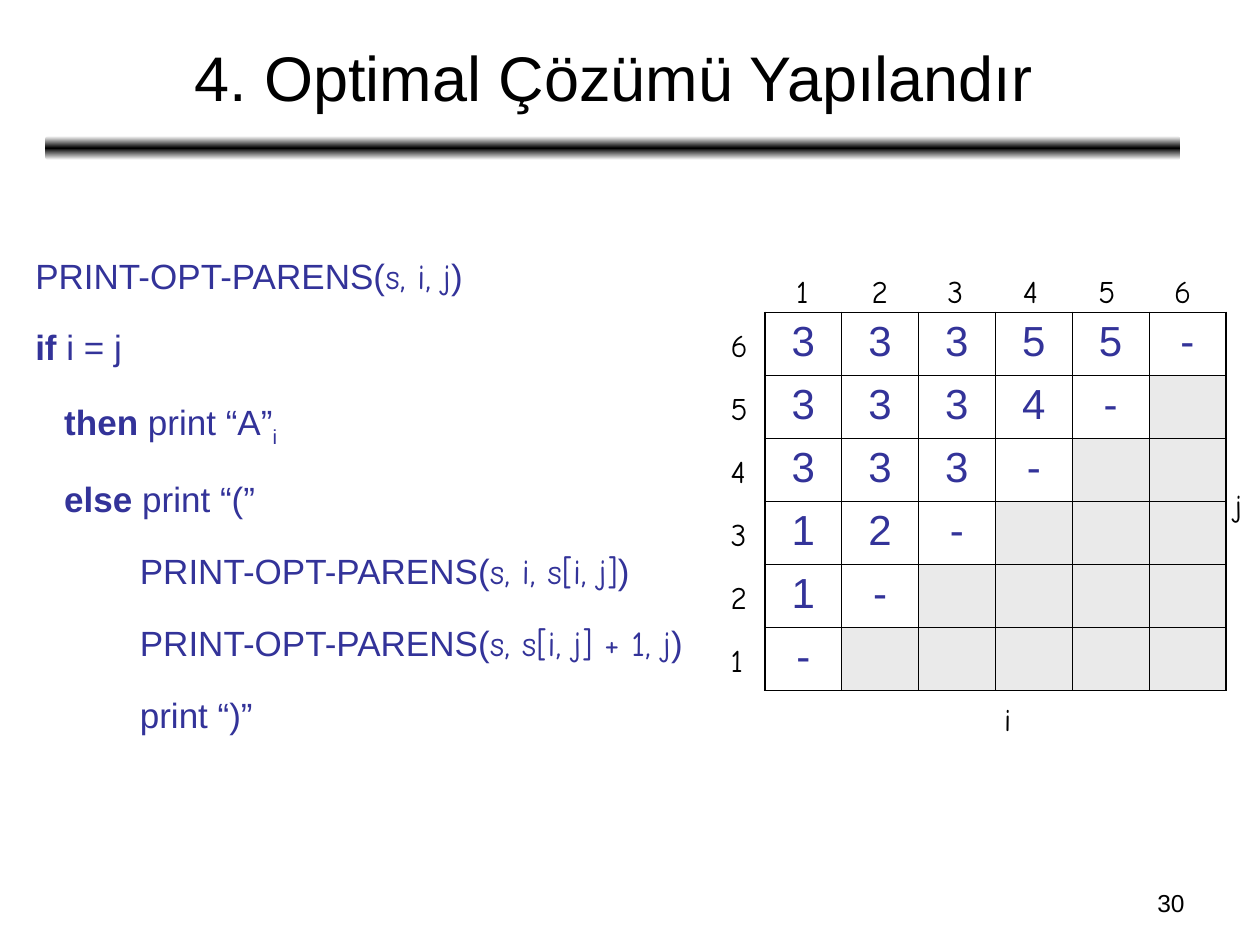
from copy import deepcopy
from dataclasses import dataclass

from lxml import etree
from pptx import Presentation
from pptx import util as u
from pptx.dml.color import RGBColor
from pptx.enum import shapes, text
from pptx.oxml import ns


@dataclass(frozen=True)
class Theme:
    black: str = "000000"
    white: str = "FFFFFF"
    ink: str = "333399"
    unused: str = "EAEAEA"
    sans: str = "Arial"
    hand: str = "Comic Neue"
    title_size: float = 36
    cell_size: float = 24
    code_size: float = 20
    label_size: float = 18
    number_size: float = 14
    outer_line: float = 1.08
    inner_line: float = 0.45


class SlideBuilder:
    """Draws styled elements on the current slide."""

    def __init__(self, slide, theme):
        self.slide = slide
        self.theme = theme

    def place(self, shape, left, top, width, height):
        shape.left, shape.top = u.Inches(left), u.Inches(top)
        shape.width, shape.height = u.Inches(width), u.Inches(height)

    def run(self, paragraph, words, size, color, font=None, bold=False, subscript=False):
        run = paragraph.add_run()
        run.text = words
        run.font.name = font or self.theme.sans
        run.font.size = u.Pt(size)
        run.font.bold = bold
        run.font.color.rgb = RGBColor.from_string(color)
        if subscript:
            run.font._element.set("baseline", "-25000")

    def title(self, words):
        shape = self.slide.shapes.title
        self.place(shape, 0.37, 0.11, 9, 0.99)
        frame = shape.text_frame
        frame.auto_size = text.MSO_AUTO_SIZE.NONE
        frame.vertical_anchor = text.MSO_ANCHOR.MIDDLE
        paragraph = frame.paragraphs[0]
        paragraph.alignment = text.PP_ALIGN.CENTER
        self.run(paragraph, words, self.theme.title_size, self.theme.black)

    def rule(self, left, top, width, height):
        shape = self.slide.shapes.add_shape(
            shapes.MSO_SHAPE.ROUNDED_RECTANGLE,
            u.Inches(left), u.Inches(top), u.Inches(width), u.Inches(height))
        shape.shadow.inherit = False
        shape.line.fill.background()
        shape.fill.gradient()
        shape.fill.gradient_angle = 90
        stops = shape.fill._xPr.find(".//" + ns.qn("a:gsLst"))
        stops.insert(1, deepcopy(stops[0]))
        colors = (self.theme.white, self.theme.black, self.theme.white)
        for stop, position, color in zip(shape.fill.gradient_stops, (0, 0.5, 1), colors):
            stop.position = position
            stop.color.rgb = RGBColor.from_string(color)

    def code(self, lines):
        shape = self.slide.placeholders[1]
        self.place(shape, 0.18, 1.8, 8, 5.23)
        frame = shape.text_frame
        frame.auto_size = text.MSO_AUTO_SIZE.NONE
        frame.vertical_anchor = text.MSO_ANCHOR.TOP
        for index, (indent, parts) in enumerate(lines):
            paragraph = frame.add_paragraph() if index else frame.paragraphs[0]
            properties = paragraph._p.get_or_add_pPr()
            properties.set("marL", str(u.Inches(indent)))
            properties.set("indent", "0")
            etree.SubElement(properties, ns.qn("a:buNone"))
            paragraph.line_spacing = 1.5
            paragraph.space_before = u.Pt(5 if index else 0)
            for words, style in parts:
                self.run(paragraph, words, self.theme.code_size, self.theme.ink, **style)

    def label(self, words, left, top, width=0.33, height=0.4, size=None, font=None,
              wrap=False, alignment=text.PP_ALIGN.LEFT):
        box = self.slide.shapes.add_textbox(
            u.Inches(left), u.Inches(top), u.Inches(width), u.Inches(height))
        box.text_frame.word_wrap = wrap
        paragraph = box.text_frame.paragraphs[0]
        paragraph.alignment = alignment
        self.run(paragraph, words, size or self.theme.label_size, self.theme.black,
                 font or self.theme.hand)

    def border(self, cell, side, width):
        line = etree.SubElement(cell._tc.get_or_add_tcPr(), ns.qn("a:ln" + side),
                                w=str(u.Pt(width)))
        fill = etree.SubElement(line, ns.qn("a:solidFill"))
        etree.SubElement(fill, ns.qn("a:srgbClr"), val=self.theme.black)

    def table(self, rows, left, top, column_width, row_height):
        count = len(rows)
        table = self.slide.shapes.add_table(
            count, count, u.Inches(left), u.Inches(top),
            u.Inches(column_width * count), u.Inches(row_height * count)).table
        table.first_row = table.horz_banding = False
        for r, values in enumerate(rows):
            for c in range(count):
                cell = table.cell(r, c)
                edges = {"L": c == 0, "R": c == count - 1, "T": r == 0, "B": r == count - 1}
                for side, outer in edges.items():
                    self.border(cell, side,
                                self.theme.outer_line if outer else self.theme.inner_line)
                if c < len(values):
                    cell.fill.background()
                    paragraph = cell.text_frame.paragraphs[0]
                    paragraph.alignment = text.PP_ALIGN.CENTER
                    self.run(paragraph, values[c], self.theme.cell_size, self.theme.ink)
                else:
                    cell.fill.solid()
                    cell.fill.fore_color.rgb = RGBColor.from_string(self.theme.unused)


def main():
    presentation = Presentation()
    presentation.slide_width, presentation.slide_height = u.Inches(10), u.Inches(7.5)
    theme = Theme()
    slide = presentation.slides.add_slide(presentation.slide_layouts[1])
    builder = SlideBuilder(slide, theme)

    builder.rule(0.36, 1.08, 9.01, 0.19)
    builder.title("4. Optimal Çözümü Yapılandır")

    plain, bold, hand = {}, {"bold": True}, {"font": theme.hand}

    def call(arguments):
        return [("PRINT-OPT-PARENS(", plain), (arguments, hand), (")", plain)]

    builder.code([
        (0, call("s, i, j")),
        (0, [("if", bold), (" i = j", plain)]),
        (0.23, [("then", bold), (" print “A”", plain), ("i", {"subscript": True})]),
        (0.23, [("else", bold), (" print “(”", plain)]),
        (0.83, call("s, i, s[i, j]")),
        (0.83, call("s, s[i, j] + 1, j")),
        (0.83, [("print “)”", plain)]),
    ])

    split_rows = ["33355-", "3334-", "333-", "12-", "1-", "-"]
    builder.table(split_rows, 6.07, 2.48, 0.61, 0.5)
    for index in range(len(split_rows)):
        builder.label(str(index + 1), 6.22 + 0.6 * index, 2.11)
        builder.label(str(len(split_rows) - index), 5.7, 2.54 + 0.5 * index)
    builder.label("i", 7.87, 5.51, width=0.25)
    builder.label("j", 9.7, 3.81, width=0.3, wrap=True)
    builder.label("30", 7.17, 7, 2.33, 0.35, theme.number_size, theme.sans,
                  wrap=True, alignment=text.PP_ALIGN.RIGHT)

    presentation.save("out.pptx")


if __name__ == "__main__":
    main()
